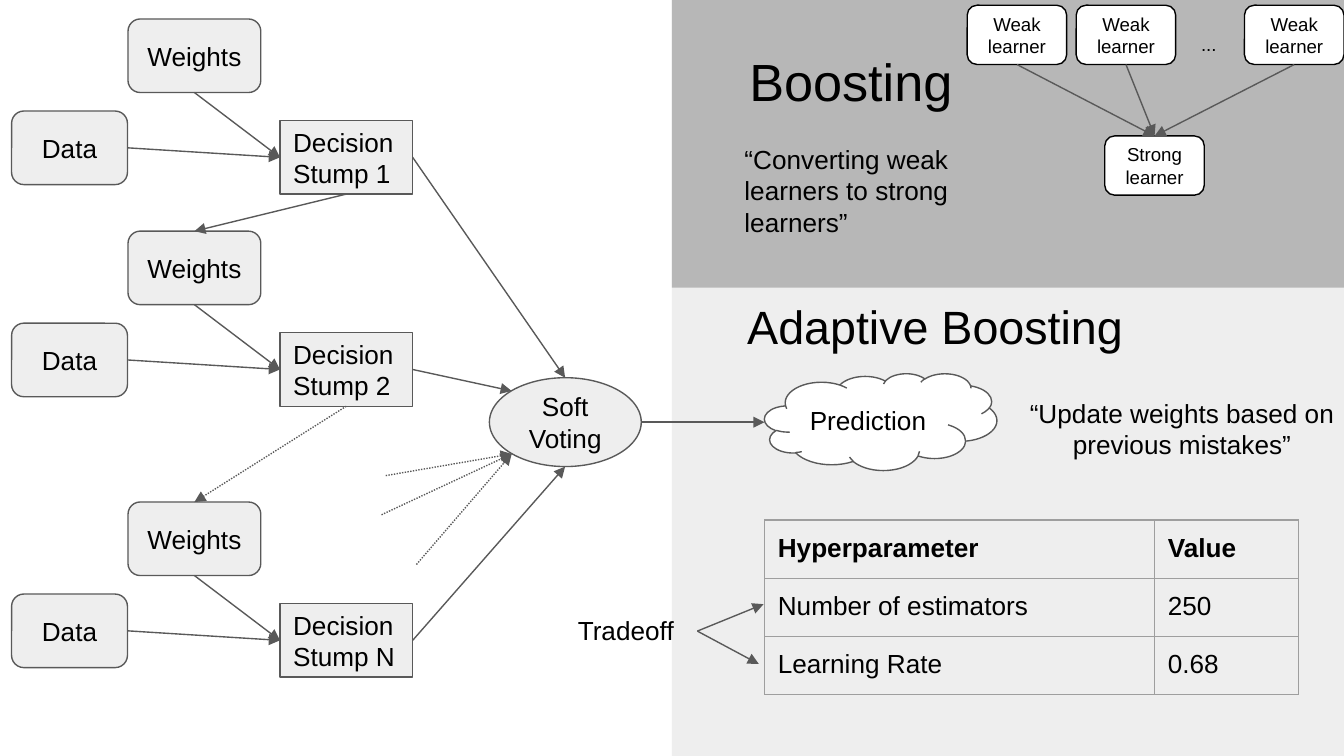
import lxml.etree
import pptx
import pptx.dml.color
import pptx.enum.dml
import pptx.enum.shapes
import pptx.enum.text
import pptx.oxml.ns
import pptx.util

Cm = pptx.util.Cm
Pt = pptx.util.Pt
qn = pptx.oxml.ns.qn
KIND = pptx.enum.shapes.MSO_SHAPE
ALIGN = pptx.enum.text.PP_ALIGN
ANCHOR = pptx.enum.text.MSO_ANCHOR

BLACK = pptx.dml.color.RGBColor(0x00, 0x00, 0x00)
WHITE = pptx.dml.color.RGBColor(0xFF, 0xFF, 0xFF)
PALE = pptx.dml.color.RGBColor(0xEE, 0xEE, 0xEE)
GRAY = pptx.dml.color.RGBColor(0xB7, 0xB7, 0xB7)
DARK = pptx.dml.color.RGBColor(0x59, 0x59, 0x59)
GRID = pptx.dml.color.RGBColor(0x9E, 0x9E, 0x9E)
TOP, LEFT, BOTTOM, RIGHT = range(4)

deck = pptx.Presentation()
deck.slide_width, deck.slide_height = Cm(25.4), Cm(14.29)
slide = deck.slides.add_slide(deck.slide_layouts[5])
shapes = slide.shapes


def write(holder, text, size=14, bold=False, align=ALIGN.CENTER,
          anchor=ANCHOR.MIDDLE, fill=None, outline=None):
    """Put text in a shape, placeholder or cell and return the holder."""
    frame = holder.text_frame
    frame.word_wrap = True
    frame.auto_size = pptx.enum.text.MSO_AUTO_SIZE.NONE
    frame.vertical_anchor = anchor
    frame.margin_left = frame.margin_right = Cm(0.25)
    frame.margin_top = frame.margin_bottom = Cm(0.25)
    paragraph = frame.paragraphs[0]
    paragraph.alignment = align
    run = paragraph.add_run()
    run.text = text
    run.font.name, run.font.size, run.font.bold = "Arial", Pt(size), bold
    run.font.color.rgb = BLACK
    if fill is not None:
        holder.shadow.inherit = False
        holder.fill.solid()
        holder.fill.fore_color.rgb = fill
        holder.line.color.rgb = outline
        holder.line.width = Pt(0.75)
    return holder


def arrow(start, end, dotted=False):
    """Draw an arrow; each end is (x, y) in cm or (shape, side)."""
    line = shapes.add_connector(pptx.enum.shapes.MSO_CONNECTOR.STRAIGHT, 0, 0, 0, 0)
    if hasattr(start[0], "shape_id"):
        line.begin_connect(*start)
    else:
        line.begin_x, line.begin_y = map(Cm, start)
    if hasattr(end[0], "shape_id"):
        line.end_connect(*end)
    else:
        line.end_x, line.end_y = map(Cm, end)
    line.line.color.rgb = DARK
    line.line.width = Pt(0.75)
    if dotted:
        line.line.dash_style = pptx.enum.dml.MSO_LINE.ROUND_DOT
    lxml.etree.SubElement(line.line._get_or_add_ln(), qn("a:tailEnd"), type="triangle")
    lxml.etree.SubElement(line._element.spPr, qn("a:effectLst"))


# Background panels on the right half
for height, color in ((14.29, PALE), (5.44, GRAY)):
    panel = shapes.add_shape(KIND.RECTANGLE, Cm(12.7), 0, Cm(12.7), Cm(height))
    panel.shadow.inherit = False
    panel.fill.solid()
    panel.fill.fore_color.rgb = color
    panel.line.fill.background()

# Headings, with the title brought in front of the panels
title = shapes.title
title.left, title.top, title.width, title.height = map(Cm, (13.21, 5.26, 8.92, 1.68))
write(title, "Adaptive Boosting", size=25, anchor=ANCHOR.BOTTOM)
shapes._spTree.append(title._element)
boosting = shapes.add_textbox(*map(Cm, (12.7, 0.69, 6.76, 1.68)))
write(boosting, "Boosting", size=28, anchor=ANCHOR.BOTTOM)

# Quotes
converting = shapes.add_textbox(*map(Cm, (13.82, 2.46, 4.85, 2.31)))
write(converting, "“Converting weak learners to strong learners”",
      align=ALIGN.LEFT, anchor=ANCHOR.TOP)
updating = shapes.add_textbox(*map(Cm, (18.67, 7.26, 7.34, 1.7)))
write(updating, "“Update weights based on previous mistakes”", anchor=ANCHOR.TOP)

# Boosting rounds: weights and data feed a decision stump
weights, stumps = [], []
for top, number in ((0.36, "1"), (4.37, "2"), (9.49, "N")):
    parts = []
    for kind, left, drop, width, text, align in (
        (KIND.ROUNDED_RECTANGLE, 2.42, 0, 2.51, "Weights", ALIGN.CENTER),
        (KIND.ROUNDED_RECTANGLE, 0.22, 1.74, 2.19, "Data", ALIGN.CENTER),
        (KIND.RECTANGLE, 5.29, 1.92, 2.51, "Decision Stump " + number, ALIGN.LEFT),
    ):
        part = shapes.add_shape(kind, Cm(left), Cm(top + drop), Cm(width), Cm(1.39))
        parts.append(write(part, text, align=align, fill=PALE, outline=DARK))
    weight, data, stump = parts
    arrow((weight, BOTTOM), (stump, LEFT))
    arrow((data, RIGHT), (stump, LEFT))
    weights.append(weight)
    stumps.append(stump)

# Each stump updates the weights of the next round
arrow((stumps[0], BOTTOM), (weights[1], TOP))
arrow((stumps[1], BOTTOM), (weights[2], TOP), dotted=True)

# Soft voting collects the stumps and gives the prediction
voting = shapes.add_shape(KIND.OVAL, *map(Cm, (9.25, 7.14, 2.87, 1.68)))
write(voting, "Soft Voting", fill=PALE, outline=DARK)
for stump, end in zip(stumps, ((10.68, 7.14), (9.67, 7.39), (10.68, 8.82))):
    arrow((stump, RIGHT), end)
for start in ((7.21, 9.73), (7.29, 8.99), (7.87, 10.67)):
    arrow(start, (9.67, 8.58), dotted=True)
arrow((12.12, 7.98), (14.45, 7.98))
prediction = shapes.add_shape(KIND.CLOUD, *map(Cm, (14.45, 7.06, 4.39, 1.83)))
write(prediction, "Prediction", align=ALIGN.LEFT, fill=WHITE, outline=DARK)

# Weak learners joined into a strong learner
strong = shapes.add_shape(KIND.ROUNDED_RECTANGLE, *map(Cm, (20.88, 2.57, 1.88, 1.12)))
write(strong, "Strong learner", size=10, fill=WHITE, outline=BLACK)
for left in (18.28, 20.34, 23.52):
    weak = shapes.add_shape(KIND.ROUNDED_RECTANGLE, *map(Cm, (left, 0.1, 1.88, 1.12)))
    write(weak, "Weak learner", size=10, fill=WHITE, outline=BLACK)
    arrow((weak, BOTTOM), (strong, TOP))
more = shapes.add_textbox(*map(Cm, (22.45, 0.38, 0.81, 0.94)))
write(more, "...", size=10, align=ALIGN.LEFT, anchor=ANCHOR.TOP)

# Hyperparameter table
rows = (
    ("Hyperparameter", "Value"),
    ("Number of estimators", "250"),
    ("Learning Rate", "0.68"),
)
table = shapes.add_table(3, 2, *map(Cm, (14.45, 9.83, 10.09, 3.3))).table
table.first_row = table.horz_banding = False
table.columns[0].width, table.columns[1].width = Cm(7.37), Cm(2.72)
for r, row in enumerate(rows):
    table.rows[r].height = Cm(1.1)
    for c, text in enumerate(row):
        cell = table.cell(r, c)
        write(cell, text, bold=r == 0, align=ALIGN.LEFT, anchor=ANCHOR.TOP)
        cell.margin_left = cell.margin_right = Cm(0.25)
        cell.margin_top = cell.margin_bottom = Cm(0.25)
        cell.vertical_anchor = ANCHOR.TOP
        properties = cell._tc.get_or_add_tcPr()
        for side in ("a:lnL", "a:lnR", "a:lnT", "a:lnB"):
            border = lxml.etree.SubElement(properties, qn(side), w=str(Pt(0.75)))
            solid = lxml.etree.SubElement(border, qn("a:solidFill"))
            lxml.etree.SubElement(solid, qn("a:srgbClr"), val=str(GRID))
        cell.fill.background()

# Tradeoff between the two hyperparameters
tradeoff = shapes.add_textbox(*map(Cm, (10.67, 11.37, 2.51, 1.12)))
write(tradeoff, "Tradeoff", align=ALIGN.LEFT, anchor=ANCHOR.TOP)
for end in ((14.43, 11.42), (14.34, 12.55)):
    arrow((tradeoff, RIGHT), end)

deck.save("out.pptx")
